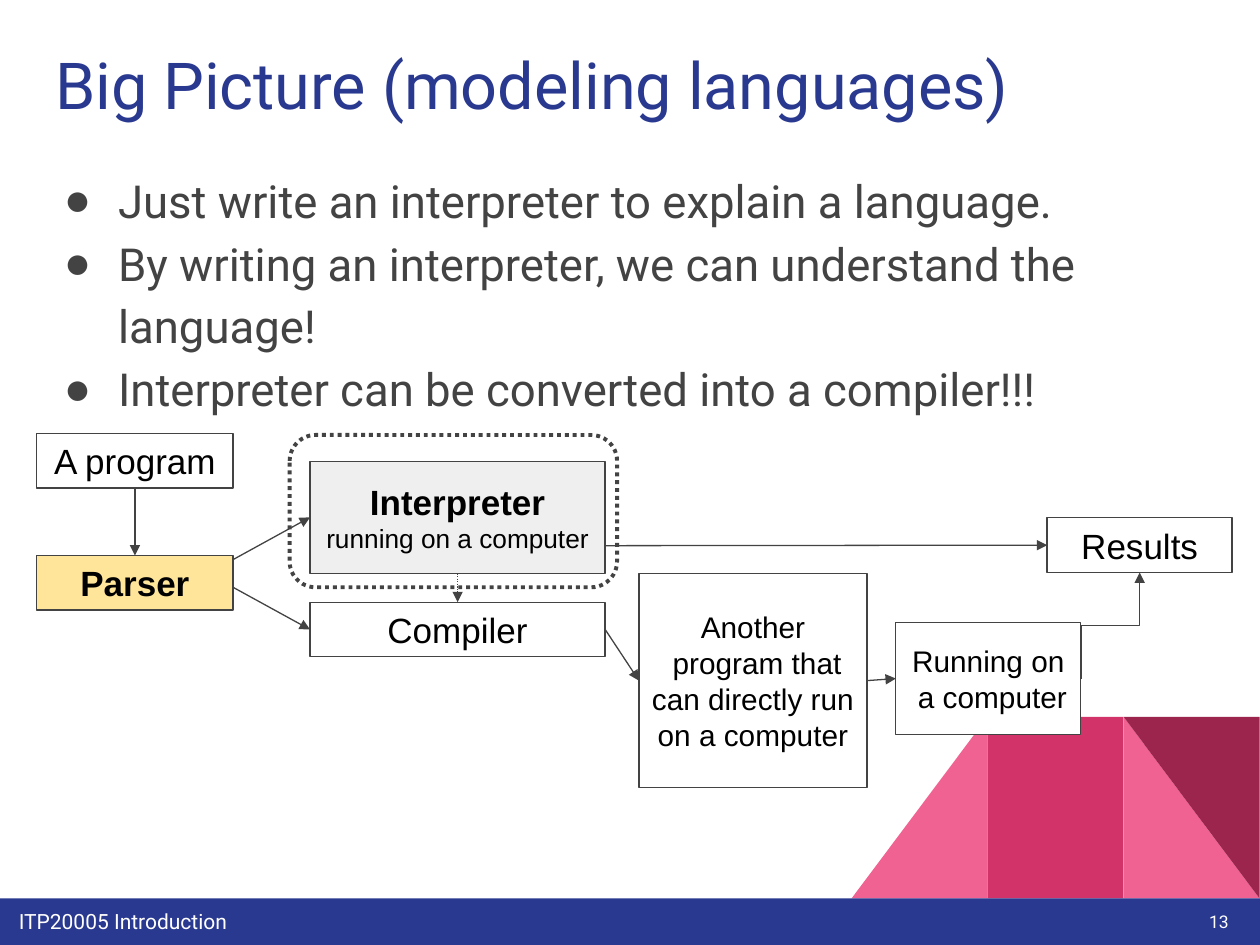
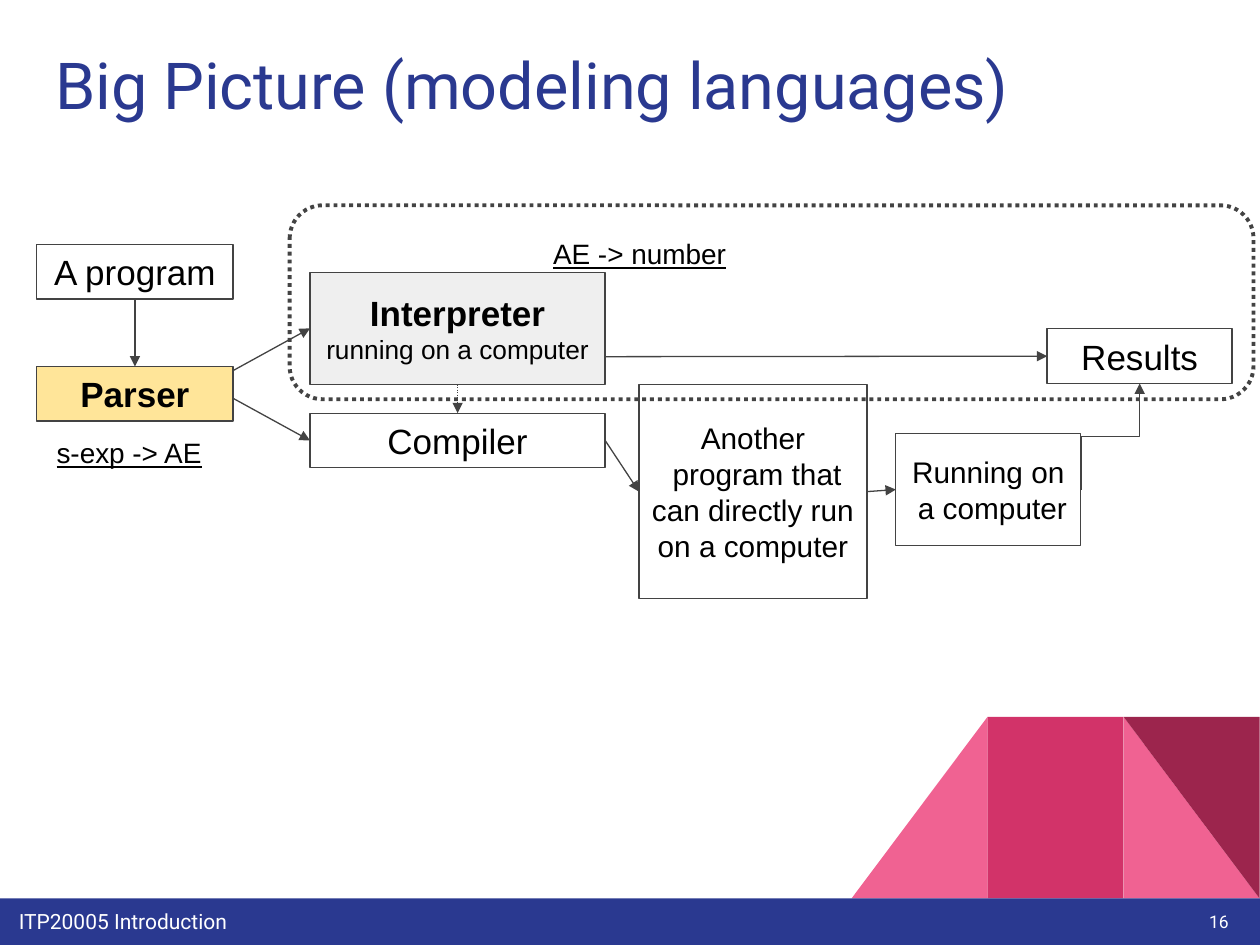
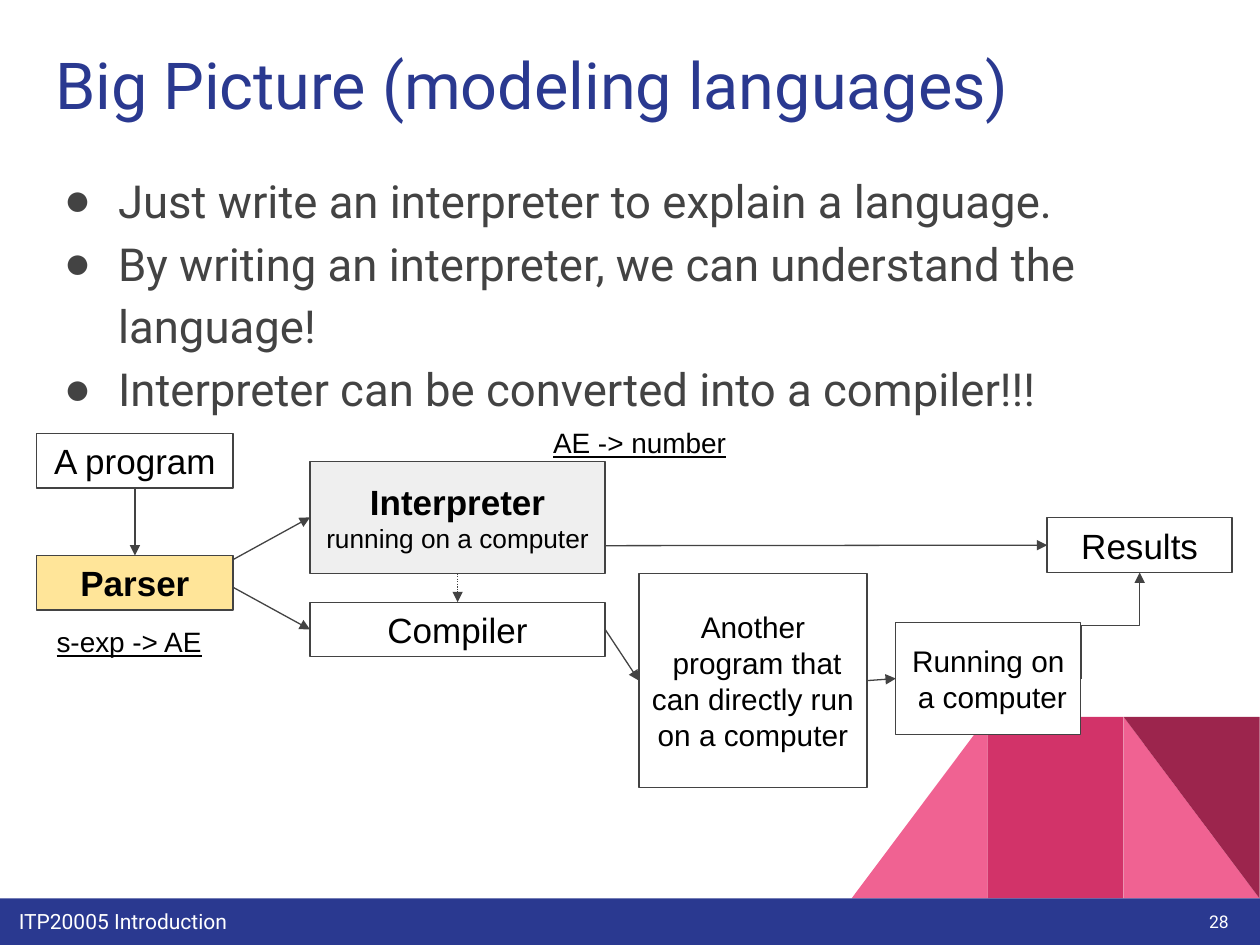
from dataclasses import dataclass
from typing import Optional

import lxml.etree
import pptx
import pptx.dml.color
import pptx.enum.dml
import pptx.enum.shapes
import pptx.enum.text
import pptx.oxml.ns
import pptx.util

Cm = pptx.util.Cm
Pt = pptx.util.Pt
RGBColor = pptx.dml.color.RGBColor
Preset = pptx.enum.shapes.MSO_SHAPE
Connector = pptx.enum.shapes.MSO_CONNECTOR
Anchor = pptx.enum.text.MSO_ANCHOR
Align = pptx.enum.text.PP_ALIGN
Dash = pptx.enum.dml.MSO_LINE
qn = pptx.oxml.ns.qn

NAVY = RGBColor(0x2A, 0x39, 0x90)
PINK = RGBColor(0xF0, 0x62, 0x92)
MAGENTA = RGBColor(0xD2, 0x33, 0x69)
WINE = RGBColor(0x9C, 0x25, 0x4D)
GRAPHITE = RGBColor(0x43, 0x43, 0x43)
PALE_GREY = RGBColor(0xEF, 0xEF, 0xEF)
PALE_YELLOW = RGBColor(0xFF, 0xE5, 0x99)
WHITE = RGBColor(0xFF, 0xFF, 0xFF)
BLACK = RGBColor(0, 0, 0)

HEADING_FONT = "Roboto"
DIAGRAM_FONT = "Arial"
INSET = Cm(0.25)
TOP, LEFT, BOTTOM, RIGHT = range(4)

TITLE = "Big Picture (modeling languages)"
COURSE = "ITP20005 Introduction"
POINTS = (
    "Just write an interpreter to explain a language.",
    "By writing an interpreter, we can understand the language!",
    "Interpreter can be converted into a compiler!!!",
)


@dataclass(frozen=True)
class Area:
    left: float
    top: float
    width: float
    height: float

    def lengths(self, shift: float = 0) -> tuple:
        return Cm(self.left), Cm(self.top + shift), Cm(self.width), Cm(self.height)


@dataclass(frozen=True)
class Facet:
    preset: int
    column: int
    color: RGBColor
    turn: int = 0
    mirrored: bool = False


@dataclass(frozen=True)
class Stage:
    key: str
    text: str
    area: Area
    size: int = 20
    bold: bool = False
    fill: Optional[RGBColor] = None
    detail: str = ""


@dataclass(frozen=True)
class Flow:
    source: str
    target: str
    source_side: int = RIGHT
    target_side: int = LEFT
    start: Optional[tuple] = None
    dotted: bool = False


@dataclass(frozen=True)
class Page:
    number: int
    diagram_top: float
    has_points: bool
    has_types: bool
    focus: Optional[Area] = None


FACETS = (
    Facet(Preset.RIGHT_TRIANGLE, 2, PINK),
    Facet(Preset.RIGHT_TRIANGLE, 0, PINK, mirrored=True),
    Facet(Preset.RECTANGLE, 1, MAGENTA),
    Facet(Preset.RIGHT_TRIANGLE, 2, WINE, turn=180),
)

STAGES = (
    Stage("interpreter", "Interpreter ", Area(6.25, 0.56, 5.95, 2.26), bold=True,
          fill=PALE_GREY, detail="running on a computer"),
    Stage("compiler", "Compiler", Area(6.25, 3.4, 5.95, 1.1)),
    Stage("program", "A program", Area(0.74, 0, 3.96, 1.1)),
    Stage("output", "Another\n program that can directly run on a computer",
          Area(12.88, 2.82, 4.6, 4.32), size=17),
    Stage("running", "Running on\n a computer", Area(18.06, 3.81, 3.73, 2.26),
          size=17, fill=WHITE),
    Stage("results", "Results", Area(21.11, 1.7, 3.73, 1.1)),
    Stage("parser", "Parser", Area(0.74, 2.46, 3.96, 1.1), bold=True, fill=PALE_YELLOW),
)

FLOWS = (
    Flow("parser", "interpreter", start=(4.7, 2.54)),
    Flow("parser", "compiler", start=(4.7, 3.1)),
    Flow("compiler", "output"),
    Flow("output", "running"),
    Flow("interpreter", "compiler", BOTTOM, TOP, dotted=True),
    Flow("program", "parser", BOTTOM, TOP),
    Flow("interpreter", "results", start=(12.2, 2.26)),
)

TYPE_LABELS = (
    ("s-exp -> AE", Area(0.89, 3.61, 4.6, 1.02)),
    ("AE -> number", Area(10.9, -0.41, 5.82, 0.84)),
)

PAGES = (
    Page(13, 8.74, True, False, Area(5.84, 0.03, 6.6, 3.07)),
    Page(16, 4.93, False, True, Area(5.84, -0.79, 19.43, 3.91)),
    Page(28, 8.74, True, True),
)


def write(paragraph, text: str, *, size: float, color: RGBColor = BLACK,
          font: str = DIAGRAM_FONT, bold: bool = False, underline: bool = False,
          align: int = Align.LEFT) -> None:
    paragraph.alignment = align
    for index, line in enumerate(text.split("\n")):
        if index:
            paragraph.add_line_break()
        run = paragraph.add_run()
        run.text = line
        run.font.name = font
        run.font.size = Pt(size)
        run.font.bold = bold
        run.font.underline = underline
        run.font.color.rgb = color


def prepare_frame(shape, anchor: int = Anchor.TOP):
    frame = shape.text_frame
    frame.word_wrap = True
    frame.auto_size = pptx.enum.text.MSO_AUTO_SIZE.NONE
    frame.vertical_anchor = anchor
    frame.margin_left = frame.margin_right = INSET
    frame.margin_top = frame.margin_bottom = INSET
    return frame


def place(shape, area: Area) -> None:
    shape.left, shape.top, shape.width, shape.height = area.lengths()


def add_label(slide, text: str, area: Area, shift: float = 0,
              anchor: int = Anchor.TOP, **style) -> None:
    label = slide.shapes.add_textbox(*area.lengths(shift))
    write(prepare_frame(label, anchor).paragraphs[0], text, **style)


def add_figure(slide, preset: int, area: Area, shift: float = 0, *,
               fill: Optional[RGBColor] = None, outline: float = 0):
    figure = slide.shapes.add_shape(preset, *area.lengths(shift))
    figure.shadow.inherit = False
    if fill is None:
        figure.fill.background()
    else:
        figure.fill.solid()
        figure.fill.fore_color.rgb = fill
    if outline:
        figure.line.color.rgb = GRAPHITE
        figure.line.width = Pt(outline)
    else:
        figure.line.fill.background()
    return figure


def add_backdrop(slide, number: int) -> None:
    for facet in FACETS:
        area = Area(17.17 + 2.74 * facet.column, 14.45, 2.74, 3.66)
        figure = add_figure(slide, facet.preset, area, fill=facet.color)
        figure.rotation = facet.turn
        if facet.mirrored:
            figure.element.spPr.xfrm.set("flipH", "1")
    add_figure(slide, Preset.RECTANGLE, Area(0, 18.11, 25.4, 0.94), fill=NAVY)
    add_label(slide, COURSE, Area(0.13, 18.06, 18.67, 0.91),
              size=12, color=WHITE, font=HEADING_FONT)
    add_label(slide, str(number), Area(23.5, 17.86, 1.52, 1.45), anchor=Anchor.MIDDLE,
              size=10, color=WHITE, font=HEADING_FONT, align=Align.RIGHT)


def add_title(slide) -> None:
    title = slide.shapes.title
    place(title, Area(0.86, 0.66, 23.67, 2.26))
    write(prepare_frame(title).paragraphs[0], TITLE,
          size=37, color=NAVY, font=HEADING_FONT)


def add_points(slide) -> None:
    body = slide.placeholders[1]
    place(body, Area(0.86, 3.07, 24.54, 12.37))
    frame = prepare_frame(body)
    for index, point in enumerate(POINTS):
        paragraph = frame.add_paragraph() if index else frame.paragraphs[0]
        write(paragraph, point, size=26, color=GRAPHITE, font=HEADING_FONT)
        paragraph.line_spacing = 1.15
        paragraph.space_before = paragraph.space_after = Pt(0)
        properties = paragraph.element.get_or_add_pPr() if hasattr(
            paragraph, "element") else paragraph._p.get_or_add_pPr()
        properties.set("marL", str(Cm(1.27)))
        properties.set("indent", str(-Cm(1.09)))
        bullet_color = lxml.etree.SubElement(properties, qn("a:buClr"))
        lxml.etree.SubElement(bullet_color, qn("a:srgbClr"), val=str(GRAPHITE))
        lxml.etree.SubElement(properties, qn("a:buChar"), char="●")


def add_stage(slide, stage: Stage, shift: float):
    box = add_figure(slide, Preset.RECTANGLE, stage.area, shift,
                     fill=stage.fill, outline=0.75)
    paragraph = prepare_frame(box, Anchor.MIDDLE).paragraphs[0]
    write(paragraph, stage.text, size=stage.size, bold=stage.bold, align=Align.CENTER)
    if stage.detail:
        write(paragraph, stage.detail, size=15, align=Align.CENTER)
    return box


def style_arrow(arrow, dotted: bool = False) -> None:
    arrow.line.color.rgb = GRAPHITE
    arrow.line.width = Pt(0.75)
    if dotted:
        arrow.line.dash_style = Dash.ROUND_DOT
    lxml.etree.SubElement(arrow.line._get_or_add_ln(), qn("a:tailEnd"), type="triangle")
    lxml.etree.SubElement(arrow.element.spPr, qn("a:effectLst"))


def add_flow(slide, flow: Flow, boxes: dict, shift: float) -> None:
    x, y = flow.start or (0, 0)
    start = Cm(x), Cm(y + shift)
    arrow = slide.shapes.add_connector(Connector.STRAIGHT, *start, *start)
    if flow.start is None:
        arrow.begin_connect(boxes[flow.source], flow.source_side)
    arrow.end_connect(boxes[flow.target], flow.target_side)
    style_arrow(arrow, flow.dotted)


def add_return_flow(slide, running, results) -> None:
    start_x = running.left + running.width
    start_y = running.top + running.height // 2
    end_x = results.left + results.width // 2
    end_y = results.top + results.height
    middle_x, middle_y = (start_x + end_x) // 2, (start_y + end_y) // 2
    half_rise, half_run = (start_y - end_y) // 2, (end_x - start_x) // 2
    arrow = slide.shapes.add_connector(
        Connector.ELBOW, middle_x - half_rise, middle_y - half_run,
        middle_x + half_rise, middle_y + half_run)
    arrow.element.spPr.xfrm.set("rot", str(270 * 60000))
    style_arrow(arrow)


def add_diagram(slide, page: Page) -> None:
    shift = page.diagram_top
    boxes = {stage.key: add_stage(slide, stage, shift) for stage in STAGES}
    for flow in FLOWS:
        add_flow(slide, flow, boxes, shift)
    add_return_flow(slide, boxes["running"], boxes["results"])
    if page.has_types:
        for text, area in TYPE_LABELS:
            add_label(slide, text, area, shift, size=16, underline=True)
    if page.focus:
        ring = add_figure(slide, Preset.ROUNDED_RECTANGLE, page.focus, shift, outline=2.25)
        ring.line.dash_style = Dash.ROUND_DOT
        lxml.etree.SubElement
        ring.adjustments[0] = 0.17


def main() -> None:
    deck = pptx.Presentation()
    deck.slide_width, deck.slide_height = Cm(25.4), Cm(19.05)
    for page in PAGES:
        slide = deck.slides.add_slide(deck.slide_layouts[1 if page.has_points else 5])
        add_backdrop(slide, page.number)
        add_title(slide)
        if page.has_points:
            add_points(slide)
        add_diagram(slide, page)
    deck.save("out.pptx")


if __name__ == "__main__":
    main()
